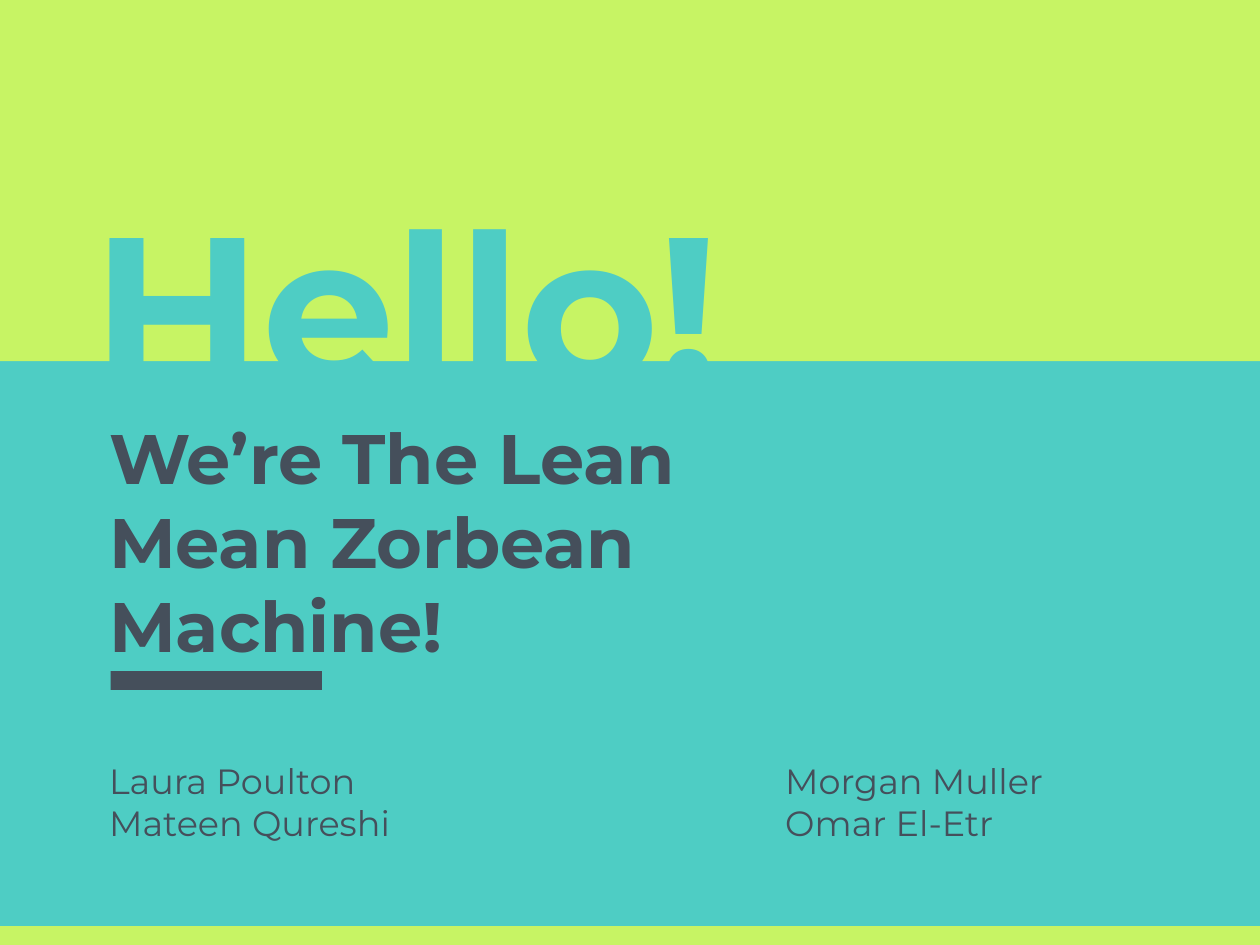
from pptx import Presentation
from pptx.dml.color import RGBColor as RGB
from pptx.enum.shapes import MSO_SHAPE as Shape
from pptx.enum.text import MSO_ANCHOR as Anchor, MSO_AUTO_SIZE as Fit, PP_ALIGN as Align
from pptx.util import Cm, Pt

# Content
HELLO = "Hello!"
TEAM = "We’re The Lean Mean Zorbean Machine!"
NAMES = [
    ("Laura Poulton", "Mateen Qureshi"),
    ("Morgan Muller", "Omar El-Etr"),
]


class Theme:
    font = "Montserrat"
    teal, lime, slate = "4ECDC4", "C7F464", "454F5B"
    huge, large, small = 120, 40, 20


# Layout, in centimetres: left, top, width, height
WIDE, HIGH = 25.4, 19.05
STRIP = 0.38
LEFT = 1.95
PAD = 0.25
TOP_BAND = (0, 0, WIDE, 7.28)
LOW_BAND = (0, HIGH - STRIP, WIDE, STRIP)
RULE = (LEFT + 0.28, 13.53, 4.26, STRIP)
HELLO_BOX = (1.62, 4.57, 13.97, 4.29)
TEAM_BOX = (LEFT, 8.1, 15.85, 4.72)
NAME_TOP, NAME_HIGH = 15.06, 2.97
NAME_COLS = [(LEFT, 9.3), (15.58, 7.85)]


def bar(slide, box, color):
    rect = slide.shapes.add_shape(Shape.RECTANGLE, *map(Cm, box))
    rect.shadow.inherit = False
    rect.fill.solid()
    rect.fill.fore_color.rgb = RGB.from_string(color)
    rect.line.fill.background()


def write(shape, lines, size, color=Theme.slate, bold=False, anchor=Anchor.TOP):
    frame = shape.text_frame
    frame.text = "\n".join(lines)
    frame.word_wrap = True
    frame.auto_size = Fit.NONE
    frame.vertical_anchor = anchor
    frame.margin_left = frame.margin_right = Cm(PAD)
    frame.margin_top = frame.margin_bottom = Cm(PAD)
    for para in frame.paragraphs:
        para.alignment = Align.LEFT
        para.space_before = Pt(0)
        for run in para.runs:
            font = run.font
            font.name, font.size, font.bold = Theme.font, Pt(size), bold
            font.color.rgb = RGB.from_string(color)


def main():
    deck = Presentation()
    deck.slide_width, deck.slide_height = Cm(WIDE), Cm(HIGH)
    slide = deck.slides.add_slide(deck.slide_layouts[5])
    shapes = slide.shapes

    # Background and bands
    back = slide.background.fill
    back.solid()
    back.fore_color.rgb = RGB.from_string(Theme.teal)
    for box in (LOW_BAND, TOP_BAND):
        bar(slide, box, Theme.lime)

    # Title, in front of the lime band
    title = shapes.title
    title.left, title.top, title.width, title.height = map(Cm, HELLO_BOX)
    write(title, [HELLO], Theme.huge, color=Theme.teal, bold=True, anchor=Anchor.BOTTOM)
    shapes.element.append(title.element)

    # Team name and rule
    write(shapes.add_textbox(*map(Cm, TEAM_BOX)), [TEAM], Theme.large, bold=True)
    bar(slide, RULE, Theme.slate)

    # Member names
    for (left, width), names in zip(NAME_COLS, NAMES):
        box = (left, NAME_TOP, width, NAME_HIGH)
        write(shapes.add_textbox(*map(Cm, box)), names, Theme.small)

    deck.save("out.pptx")


if __name__ == "__main__":
    main()
